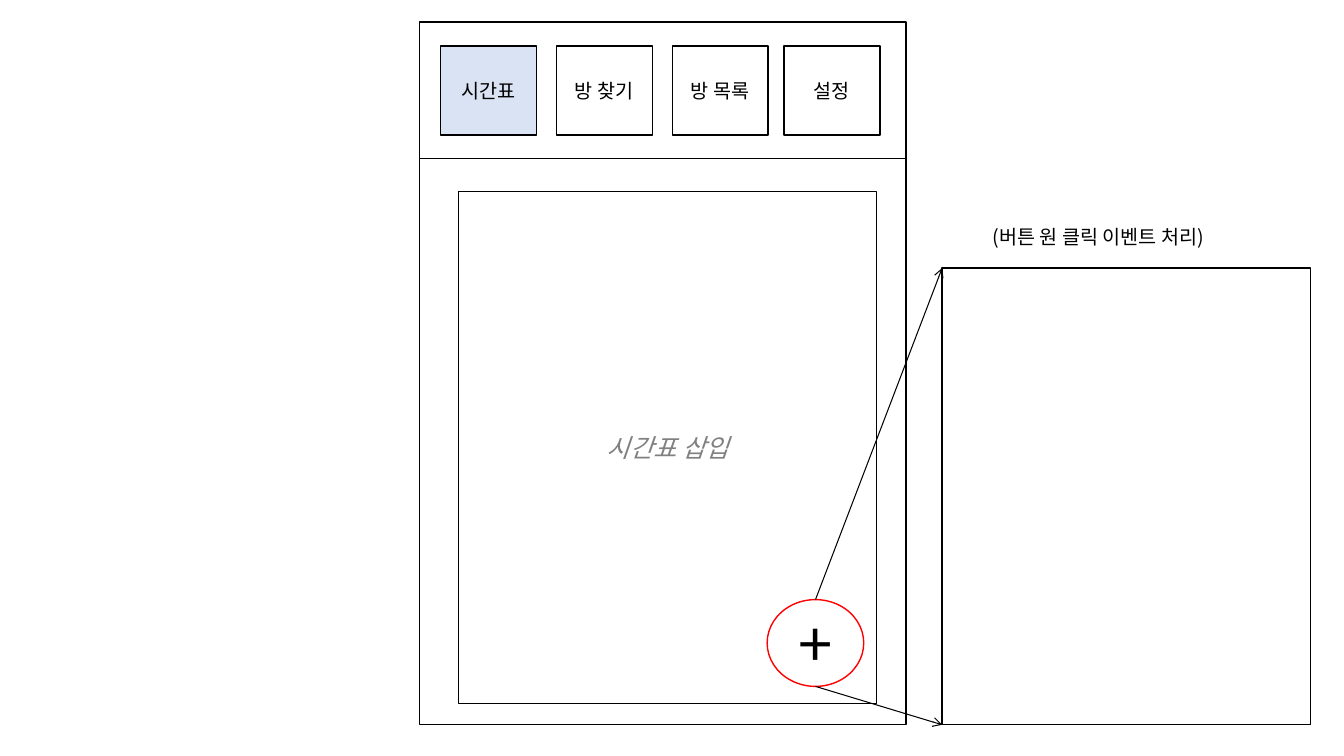
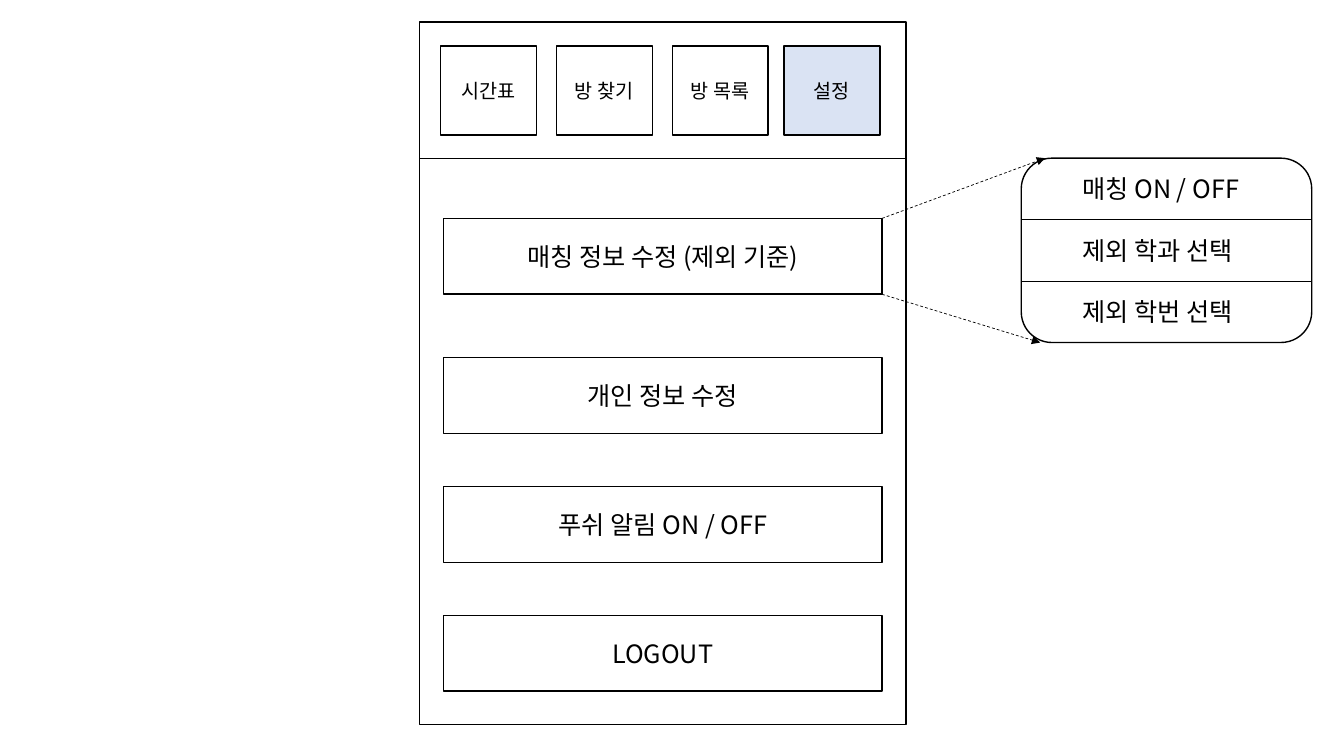
from dataclasses import dataclass

from lxml.etree import SubElement
from pptx import Presentation
from pptx.dml.color import RGBColor
from pptx.enum.dml import MSO_LINE
from pptx.enum.shapes import MSO_CONNECTOR, MSO_SHAPE
from pptx.enum.text import MSO_ANCHOR, MSO_AUTO_SIZE, PP_ALIGN
from pptx.oxml.ns import qn
from pptx.util import Pt

# Content
TABS = ["시간표", "방 찾기", "방 목록", "설정"]
TIMETABLE_HINT = "시간표 삽입"
ADD_SIGN = "+"
POPUP_CAPTION = "(버튼 원 클릭 이벤트 처리)"
SETTINGS = ["매칭 정보 수정 (제외 기준)", "개인 정보 수정", "푸쉬 알림 ON / OFF", "LOGOUT"]
MATCHING_MENU = ["매칭 ON / OFF", "제외 학과 선택", "제외 학번 선택"]


@dataclass(frozen=True)
class Theme:
    """Colours, font, type sizes and line widths."""
    ink: str = "000000"
    paper: str = "FFFFFF"
    active: str = "DAE3F3"
    muted: str = "808080"
    alert: str = "FF0000"
    font: str = "Noto Sans CJK KR"
    small: int = 14
    body: int = 18
    sign: int = 44
    outline: float = 1
    pointer: float = 0.75
    hairline: float = 0.5


@dataclass(frozen=True)
class Box:
    """A rectangle in points."""
    left: float
    top: float
    width: float
    height: float

    @property
    def right(self):
        """Right edge."""
        return self.left + self.width

    @property
    def bottom(self):
        """Bottom edge."""
        return self.top + self.height

    @property
    def center(self):
        """Horizontal centre."""
        return self.left + self.width / 2

    def emu(self):
        """The four lengths as python-pptx wants them."""
        return [Pt(v) for v in (self.left, self.top, self.width, self.height)]


THEME = Theme()
PHONE = Box(299.5, 15.8, 347.8, 501.9)
HEADER_BOTTOM = 113
TAB_LEFTS = [314.6, 397.4, 480.2, 560]
SETTING_TOPS = [156, 255.5, 347.6, 439.5]


def write(frame, text, size=THEME.body, color=THEME.ink, italic=None, align=PP_ALIGN.CENTER):
    """Put one formatted line of text into a text frame."""
    paragraph = frame.paragraphs[0]
    paragraph.alignment = align
    run = paragraph.add_run()
    run.text = text
    font = run.font
    font.size, font.italic, font.name = Pt(size), italic, THEME.font
    font.color.rgb = RGBColor.from_string(color)
    SubElement(font._element, qn("a:ea"), typeface=THEME.font)


def panel(slide, box, text="", kind=MSO_SHAPE.RECTANGLE, fill=THEME.paper,
          line=THEME.ink, **text_format):
    """Add an outlined shape, with centred text if any."""
    shape = slide.shapes.add_shape(kind, *box.emu())
    shape.shadow.inherit = False
    shape.fill.solid()
    shape.fill.fore_color.rgb = RGBColor.from_string(fill)
    shape.line.color.rgb = RGBColor.from_string(line)
    shape.line.width = Pt(THEME.outline)
    if text:
        shape.text_frame.vertical_anchor = MSO_ANCHOR.MIDDLE
        write(shape.text_frame, text, **text_format)


def label(slide, box, text, **text_format):
    """Add a free line of text, aligned left."""
    frame = slide.shapes.add_textbox(*box.emu()).text_frame
    frame.word_wrap = False
    frame.auto_size = MSO_AUTO_SIZE.SHAPE_TO_FIT_TEXT
    write(frame, text, align=PP_ALIGN.LEFT, **text_format)


def rule(slide, start, end, width=THEME.hairline, head=None, dash=None):
    """Draw a straight line, with an arrowhead at its end if given."""
    points = [Pt(v) for v in (*start, *end)]
    connector = slide.shapes.add_connector(MSO_CONNECTOR.STRAIGHT, *points)
    line = connector.line
    line.color.rgb = RGBColor.from_string(THEME.ink)
    line.width = Pt(width)
    if dash:
        line.dash_style = dash
    if head:
        SubElement(line._get_or_add_ln(), qn("a:tailEnd"), type=head)
    SubElement(connector._element.spPr, qn("a:effectLst"))


def phone_screen(deck, active_tab):
    """Add a slide with the phone frame and its tab bar."""
    slide = deck.slides.add_slide(deck.slide_layouts.get_by_name("Blank"))
    panel(slide, PHONE)
    for left, tab in zip(TAB_LEFTS, TABS):
        fill = THEME.active if tab == active_tab else THEME.paper
        panel(slide, Box(left, 33, 68.5, 63.4), tab, fill=fill, size=THEME.small)
    rule(slide, (PHONE.left, HEADER_BOTTOM), (PHONE.right, HEADER_BOTTOM))
    return slide


def timetable_slide(deck):
    """Timetable tab with its add button and the popup it opens."""
    slide = phone_screen(deck, TABS[0])
    add_button = Box(548, 428.3, 69, 62)
    popup = Box(673, 191.5, 263, PHONE.bottom - 191.5)
    panel(slide, Box(327.6, 136.6, 298.6, 366), TIMETABLE_HINT, color=THEME.muted, italic=True)
    panel(slide, add_button, ADD_SIGN, kind=MSO_SHAPE.OVAL, line=THEME.alert, size=THEME.sign)
    panel(slide, popup)
    for start_y, end_y in ((add_button.top, popup.top), (add_button.bottom, popup.bottom)):
        rule(slide, (add_button.center, start_y), (popup.left, end_y),
             width=THEME.pointer, head="arrow")
    label(slide, Box(702, 157, 184.3, 24.5), POPUP_CAPTION, size=THEME.small)


def settings_slide(deck):
    """Settings tab with its buttons and the matching menu."""
    slide = phone_screen(deck, TABS[-1])
    buttons = [Box(316.8, top, 313.2, 54.2) for top in SETTING_TOPS]
    for button, setting in zip(buttons, SETTINGS):
        panel(slide, button, setting)

    menu = Box(729.5, HEADER_BOTTOM, 207.5, 131.7)
    panel(slide, menu, kind=MSO_SHAPE.ROUNDED_RECTANGLE)
    matching = buttons[0]
    for start_y, end in ((matching.top, (menu.left + 17, menu.top)),
                         (matching.bottom, (menu.left + 13.5, menu.bottom))):
        rule(slide, (matching.right, start_y), end, head="triangle", dash=MSO_LINE.DASH)

    row_height, text_height = menu.height / len(MATCHING_MENU), 29
    for row, choice in enumerate(MATCHING_MENU):
        top = menu.top + row * row_height
        if row:
            rule(slide, (menu.left, top), (menu.right, top))
        text_top = top + (row_height - text_height) / 2
        label(slide, Box(766, text_top, 137, text_height), choice)


def main():
    """Build and save the deck."""
    deck = Presentation()
    deck.slide_width, deck.slide_height = Pt(960), Pt(540)
    timetable_slide(deck)
    settings_slide(deck)
    deck.save("out.pptx")


main()
